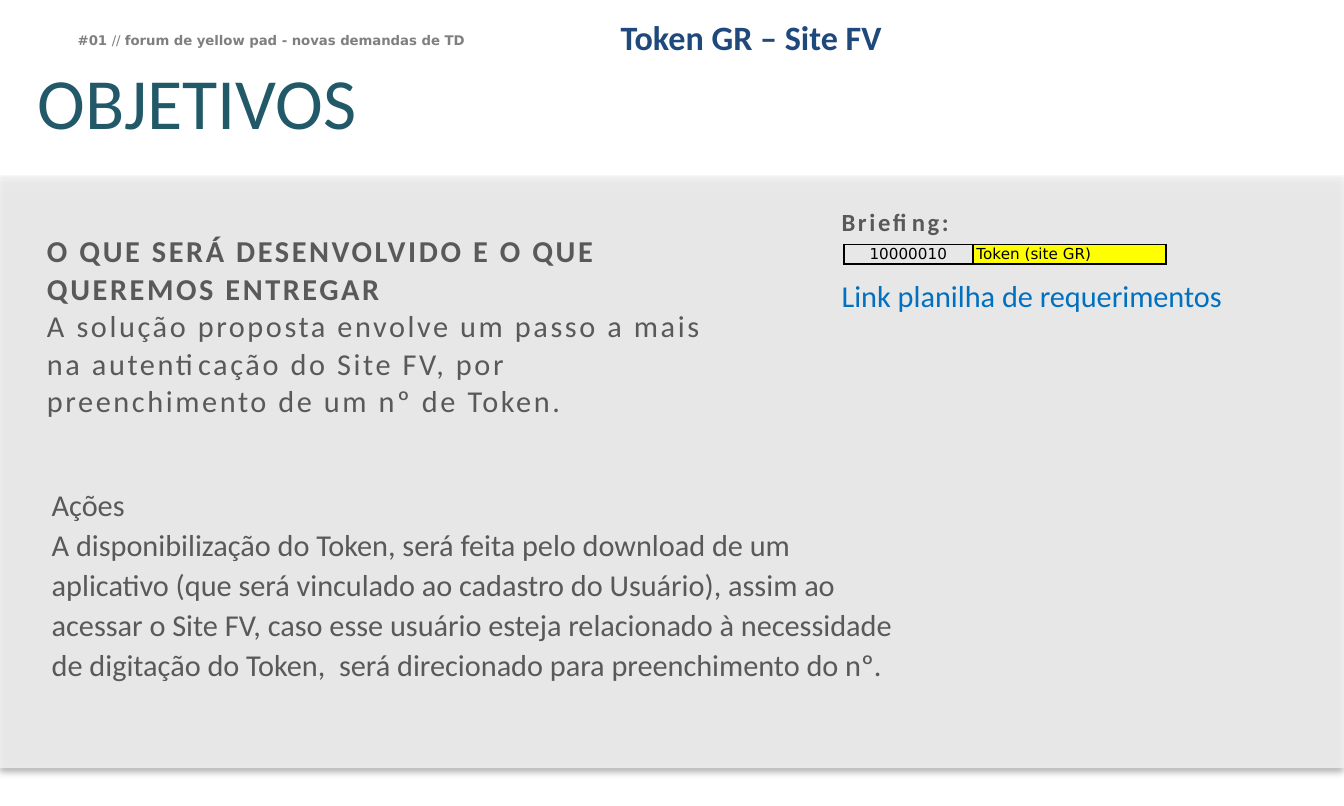
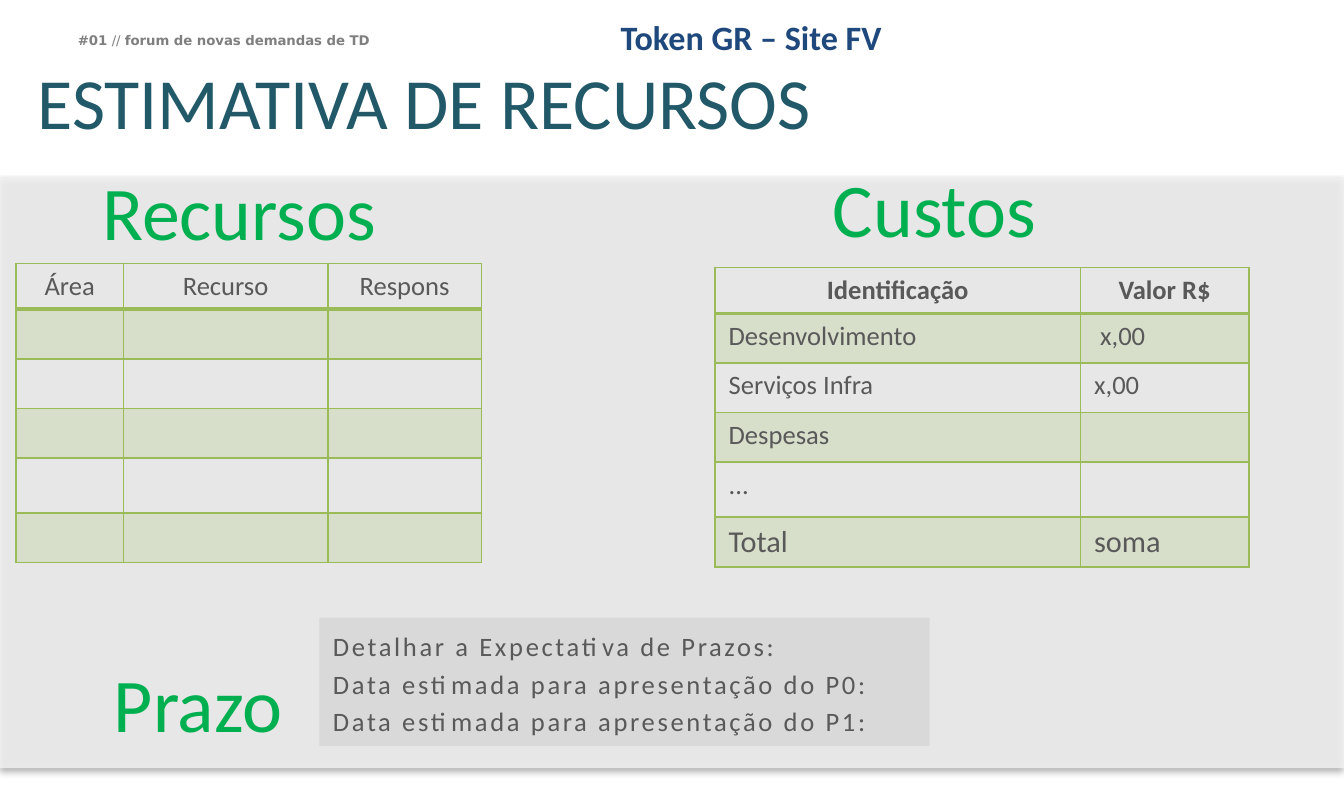
"""Builds the objectives and resource-estimate slides of the Token project."""
from dataclasses import dataclass, replace

from lxml.etree import SubElement
from pptx import Presentation
from pptx.dml.color import RGBColor
from pptx.enum.shapes import MSO_SHAPE as Shape
from pptx.enum.text import MSO_ANCHOR as Anchor, PP_ALIGN as Align
from pptx.oxml.ns import qn
from pptx.util import Pt

WIDTH, HEIGHT = 708.66, 425.2
WHITE = RGBColor(0xFF, 0xFF, 0xFF)
BLACK = RGBColor(0, 0, 0)
BAND = RGBColor(0xF2, 0xF2, 0xF2)
PANEL = RGBColor(0xD9, 0xD9, 0xD9)
BODY = RGBColor(0x59, 0x59, 0x59)
MUTED = RGBColor(0x7F, 0x7F, 0x7F)
TEAL = RGBColor(0x21, 0x59, 0x68)
NAVY = RGBColor(0x1F, 0x49, 0x7D)
LINK = RGBColor(0x00, 0x70, 0xC0)
GREEN = RGBColor(0x00, 0xB0, 0x50)
OLIVE = RGBColor(0x9B, 0xBB, 0x59)
YELLOW = RGBColor(0xFF, 0xFF, 0x00)
NO_INSET, SMALL_INSET, NORMAL_INSET = (0, 0), (4.8, 2.5), (7.2, 3.6)
ROW_HEIGHTS = (24, 26.2, 26.2, 26.2, 29, 26.2)


@dataclass(frozen=True)
class Style:
    """Look of one paragraph."""
    size: float
    color: RGBColor = BODY
    bold: bool = False
    font: str = "Calibri"
    tracking: float = 0
    line: object = None
    before: float = 0
    align: Align = Align.LEFT


TITLE = Style(38, TEAL, line=0.7)
PROJECT = Style(18, NAVY, bold=True, line=0.85)
FORUM = Style(7, MUTED, bold=True, font="DejaVu Sans")
SECTION = Style(40, GREEN, line=0.8)
SPACED = Style(16, tracking=1.4, line=Pt(19.8))
ACTIONS = Style(16, line=1.1)
CELL = Style(14)
HEADER = replace(CELL, align=Align.CENTER)
CODE = Style(8, BLACK, font="DejaVu Sans", line=1.07)


def style_paragraph(paragraph, style):
    """Apply a style to a whole paragraph."""
    paragraph.alignment = style.align
    if style.line:
        paragraph.line_spacing = style.line
    if style.before:
        paragraph.space_before = Pt(style.before)
    font = paragraph.font
    font.name, font.size, font.bold = style.font, Pt(style.size), style.bold
    font.color.rgb = style.color
    if style.tracking:
        defaults = paragraph._p.get_or_add_pPr().find(qn("a:defRPr"))
        defaults.set("spc", str(round(style.tracking * 100)))


def write(frame, lines, inset):
    """Fill a text frame with (text, style) paragraphs."""
    frame.word_wrap = True
    frame.vertical_anchor = Anchor.TOP
    frame.margin_left = frame.margin_right = Pt(inset[0])
    frame.margin_top = frame.margin_bottom = Pt(inset[1])
    for index, (text, style) in enumerate(lines):
        paragraph = frame.add_paragraph() if index else frame.paragraphs[0]
        paragraph.text = text
        style_paragraph(paragraph, style)


def add_text(slide, box, lines, inset=SMALL_INSET):
    """Add a wrapped text box."""
    frame = slide.shapes.add_textbox(*map(Pt, box)).text_frame
    write(frame, lines, inset)
    return frame


def set_fill(fill, color, opacity=100):
    """Set a solid fill, translucent below 100 percent."""
    fill.solid()
    fill.fore_color.rgb = color
    if opacity < 100:
        tint = fill._xPr.find(qn("a:solidFill"))[0]
        SubElement(tint, qn("a:alpha"), val=str(opacity * 1000))


def add_panel(slide, box, color, opacity=100):
    """Add a plain rectangle without line or shadow."""
    panel = slide.shapes.add_shape(Shape.RECTANGLE, *map(Pt, box))
    panel.shadow.inherit = False
    set_fill(panel.fill, color, opacity)
    panel.line.fill.background()
    return panel


def add_band(slide):
    """Add the grey content band with its soft shadow."""
    band = add_panel(slide, (0, 93.6, WIDTH, 311.6), BAND, 83)
    effects = band._element.spPr.find(qn("a:effectLst"))
    shadow = SubElement(effects, qn("a:outerShdw"), blurRad=str(Pt(3.1)),
                        dist=str(Pt(1.8)), dir="5400000", rotWithShape="0")
    shade = SubElement(shadow, qn("a:srgbClr"), val=str(BLACK))
    SubElement(shade, qn("a:alpha"), val="35000")


def add_base(prs, title, title_width, forum, forum_width):
    """Add a slide with the shared band, title and header lines."""
    slide = prs.slides.add_slide(prs.slide_layouts[6])
    set_fill(slide.background.fill, WHITE)
    add_band(slide)
    add_text(slide, (19.8, 42.9, title_width, 33), [(title, TITLE)], NO_INSET)
    header = add_text(slide, (34.6, 13.7, forum_width, 15), [("", FORUM)], (6.4, 3.4))
    for text, bold in (("#01 ", None), ("// ", False), (forum, None)):
        run = header.paragraphs[0].add_run()
        run.text = text
        run.font.bold = bold
    add_text(slide, (320.2, 8.6, 199.4, 26),
             [("Token GR – Site FV", PROJECT)], NORMAL_INSET)
    return slide


def set_borders(cell, color, top=1, bottom=1):
    """Draw the four borders of a cell."""
    properties = cell._tc.get_or_add_tcPr()
    for side, weight in (("L", 1), ("R", 1), ("T", top), ("B", bottom)):
        line = SubElement(properties, qn(f"a:ln{side}"), w=str(Pt(weight)))
        SubElement(SubElement(line, qn("a:solidFill")), qn("a:srgbClr"), val=str(color))


def add_grid(slide, left, top, widths, heights):
    """Add an unbanded table with the given columns and rows."""
    table = slide.shapes.add_table(len(heights), len(widths), Pt(left), Pt(top),
                                   Pt(sum(widths)), Pt(sum(heights))).table
    table.first_row = table.horz_banding = False
    for column, width in zip(table.columns, widths):
        column.width = Pt(width)
    for row, height in zip(table.rows, heights):
        row.height = Pt(height)
    return table


def write_cell(cell, text, style):
    """Write one styled paragraph in a cell."""
    paragraph = cell.text_frame.paragraphs[0]
    paragraph.text = text
    style_paragraph(paragraph, style)


def add_estimate(slide, left, top, widths, rows, header, last=CELL):
    """Add a green estimate table with alternate rows tinted."""
    table = add_grid(slide, left, top, widths, ROW_HEIGHTS)
    styles = [header] + [CELL] * (len(rows) - 2) + [last]
    for r, (texts, style) in enumerate(zip(rows, styles)):
        for c, text in enumerate(texts):
            cell = table.cell(r, c)
            write_cell(cell, text, style)
            set_borders(cell, OLIVE, top=2 if r == 1 else 1, bottom=1 if r else 2)
            if r % 2:
                set_fill(cell.fill, OLIVE, 20)
            else:
                cell.fill.background()


def add_briefing_code(slide):
    """Add the one-row table with the briefing number."""
    table = add_grid(slide, 445, 128.9, (67.9, 102), (10.1,))
    for c, (text, align) in enumerate((("10000010", Align.CENTER),
                                       ("Token (site GR)", Align.LEFT))):
        cell = table.cell(0, c)
        write_cell(cell, text, replace(CODE, align=align))
        cell.vertical_anchor = Anchor.MIDDLE
        cell.margin_left = cell.margin_right = Pt(2)
        cell.margin_top = cell.margin_bottom = 0
        set_borders(cell, BLACK)
        cell.fill.background()
    set_fill(table.cell(0, 1).fill, YELLOW)


def add_objectives(prs):
    """Build the objectives slide."""
    slide = add_base(prs, "OBJETIVOS", 262,
                     "forum de yellow pad - novas demandas de TD", 221)
    add_text(slide, (20, 119.5, 357, 106), [
        ("O QUE SERÁ DESENVOLVIDO E O QUE QUEREMOS ENTREGAR",
         replace(SPACED, bold=True)),
        ("A solução proposta envolve um passo a mais na autenticação do Site FV, "
         "por preenchimento de um nº de Token.", SPACED)])
    add_text(slide, (22.5, 252, 456.5, 111.6), [
        ("Ações", ACTIONS),
        ("A disponibilização do Token, será feita pelo download de um aplicativo "
         "(que será vinculado ao cadastro do Usuário), assim ao acessar o Site FV, "
         "caso esse usuário esteja relacionado à necessidade de digitação do Token,  "
         "será direcionado para preenchimento do nº.", ACTIONS)])
    add_text(slide, (439, 105.1, 260, 63.4), [
        ("Briefing:", Style(13, bold=True, tracking=1.4, line=1.1)),
        ("Link planilha de requerimentos", replace(ACTIONS, color=LINK, before=19.5))])
    add_briefing_code(slide)


def add_resources(prs):
    """Build the resource-estimate slide."""
    slide = add_base(prs, "ESTIMATIVA DE RECURSOS", 471,
                     "forum de novas demandas de TD", 170)
    for name, left, top, align in (("Recursos", 54, 96.2, Align.LEFT),
                                   ("Custos", 439.2, 94.8, Align.LEFT),
                                   ("Prazo", 24.5, 355.7, Align.CENTER)):
        add_text(slide, (left, top, 160, 39.6),
                 [(name, replace(SECTION, align=align))], NO_INSET)
    add_estimate(slide, 8.4, 139, (56.7, 107.8, 81),
                 [("Área", "Recurso", "Respons")] + [("", "", "")] * 5, HEADER)
    add_estimate(slide, 377, 141.2, (192.7, 88.8),
                 [("Identificação", "Valor R$"), ("Desenvolvimento", " x,00"),
                  ("Serviços Infra", "x,00"), ("Despesas", ""), ("...", ""),
                  ("Total", "soma")],
                 replace(HEADER, bold=True), replace(CELL, size=16))
    deadlines = add_panel(slide, (168.5, 325.8, 321.8, 67.7), PANEL)
    write(deadlines.text_frame,
          [(text, replace(SPACED, size=14)) for text in (
              "Detalhar a Expectativa de Prazos:\vData estimada para apresentação do P0:",
              "Data estimada para apresentação do P1:")], NORMAL_INSET)


def main():
    """Build and save the presentation."""
    prs = Presentation()
    prs.slide_width, prs.slide_height = Pt(WIDTH), Pt(HEIGHT)
    add_objectives(prs)
    add_resources(prs)
    prs.save("out.pptx")


if __name__ == "__main__":
    main()
